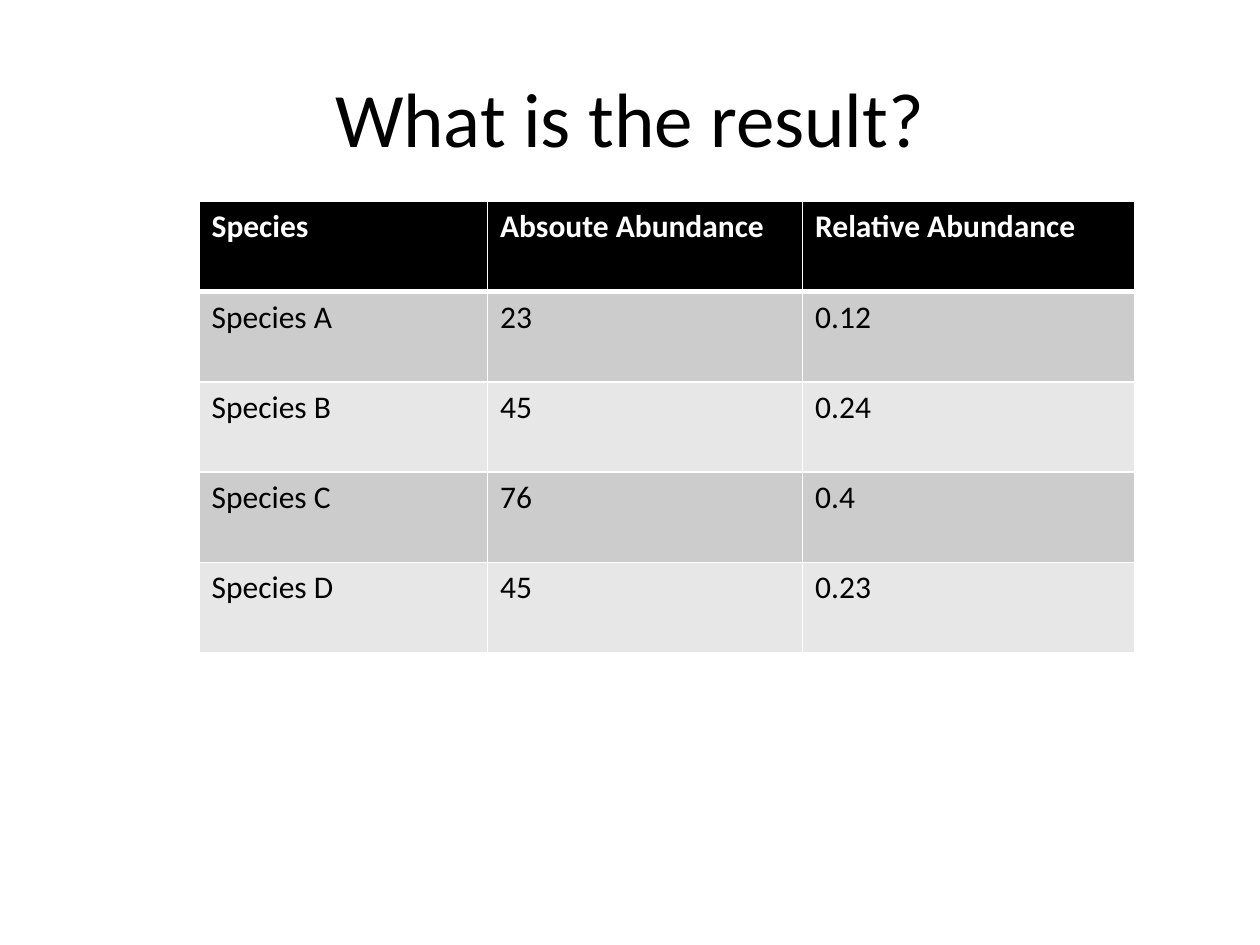
from lxml import etree
from pptx import Presentation
from pptx import util as u
from pptx.dml.color import RGBColor
from pptx.enum import text
from pptx.oxml import ns

COLORS = {"ink": "000000", "paper": "FFFFFF", "odd": "CCCCCC", "even": "E7E7E7"}
FONT = "Calibri"


def style_font(paragraph, size, color, bold=False):
    font = paragraph.runs[0].font
    font.name, font.size, font.bold = FONT, u.Pt(size), bold
    font.color.rgb = RGBColor.from_string(COLORS[color])


def add_borders(cell, widths):
    """Draw paper-coloured cell borders; widths maps a border tag to points."""
    properties = cell._tc.get_or_add_tcPr()
    for tag, points in widths.items():
        line = etree.SubElement(properties, ns.qn(f"a:{tag}"), w=str(u.Pt(points)))
        fill = etree.SubElement(line, ns.qn("a:solidFill"))
        etree.SubElement(fill, ns.qn("a:srgbClr"), val=COLORS["paper"])


prs = Presentation()
prs.slide_width, prs.slide_height = u.Inches(10), u.Inches(7.5)
slide = prs.slides.add_slide(prs.slide_layouts[6])

title = slide.shapes.add_textbox(u.Inches(0.5), u.Inches(0.3), u.Inches(9), u.Inches(1.25))
title_frame = title.text_frame
title_frame.word_wrap = True
title_frame.vertical_anchor = text.MSO_ANCHOR.MIDDLE
title_frame.text = "What is the result?"
title_frame.paragraphs[0].alignment = text.PP_ALIGN.CENTER
style_font(title_frame.paragraphs[0], 44, "ink")

abundances = [
    ("Species", "Absoute Abundance", "Relative Abundance"),
    ("Species A", "23", "0.12"),
    ("Species B", "45", "0.24"),
    ("Species C", "76", "0.4"),
    ("Species D", "45", "0.23"),
]
column_widths = [2.29, 2.5, 2.64]
table = slide.shapes.add_table(
    len(abundances), len(column_widths),
    u.Inches(1.58), u.Inches(1.6), u.Inches(sum(column_widths)), u.Inches(3.58),
).table
for column, width in zip(table.columns, column_widths):
    column.width = u.Inches(width)

for r, species in enumerate(abundances):
    header = r == 0
    row_fill = "ink" if header else "odd" if r % 2 else "even"
    # The rule between header and body is thicker than the rest.
    borders = {"lnL": 1, "lnR": 1, "lnT": 3 if r == 1 else 1, "lnB": 3 if header else 1}
    for c, value in enumerate(species):
        cell = table.cell(r, c)
        add_borders(cell, borders)
        cell.fill.solid()
        cell.fill.fore_color.rgb = RGBColor.from_string(COLORS[row_fill])
        cell.text_frame.text = value
        style_font(cell.text_frame.paragraphs[0], 18, "paper" if header else "ink", header)

prs.save("out.pptx")
